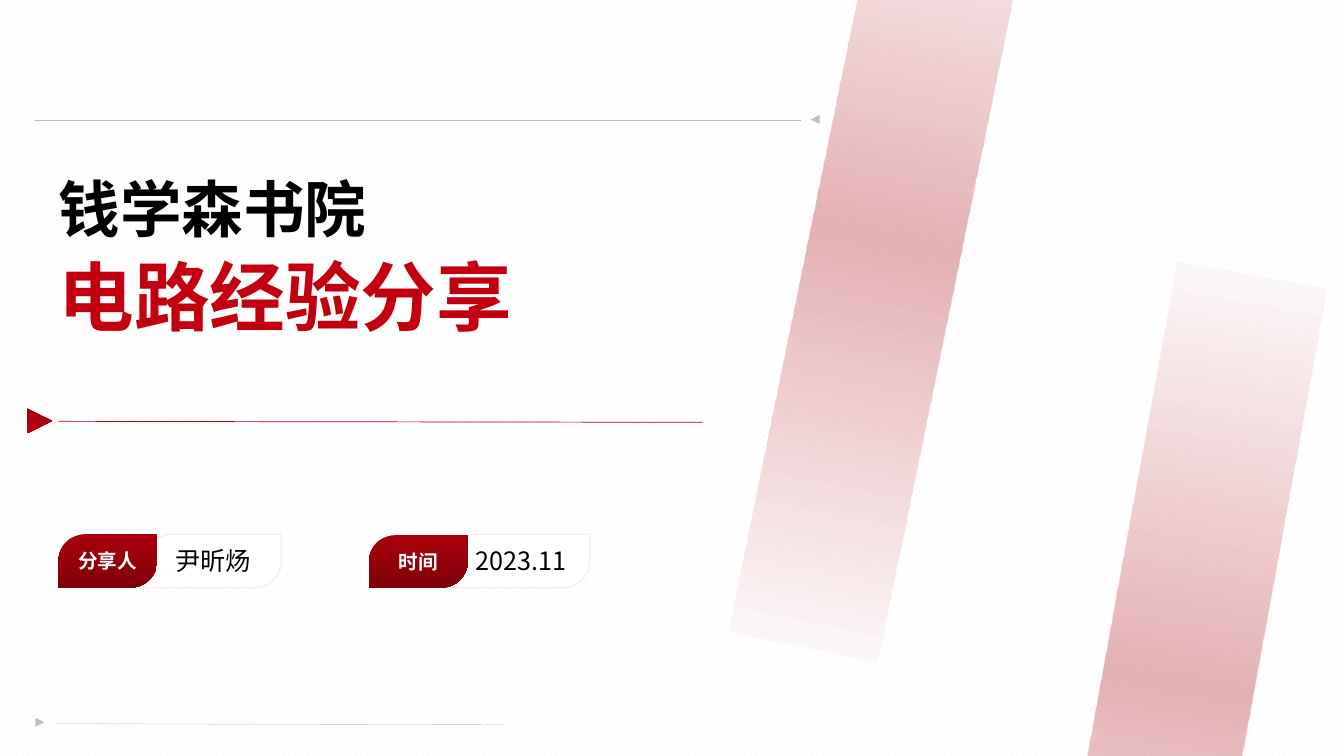
from dataclasses import dataclass

from lxml.etree import SubElement
from pptx import Presentation
from pptx.dml.color import RGBColor
from pptx.enum.dml import MSO_PATTERN
from pptx.enum.shapes import MSO_CONNECTOR, MSO_SHAPE
from pptx.enum.text import MSO_ANCHOR, MSO_AUTO_SIZE, PP_ALIGN
from pptx.oxml.ns import qn
from pptx.util import Pt

PX = 9144  # EMU, 100 px to the inch


@dataclass(frozen=True)
class Theme:
    font: str = "Noto Sans CJK SC"
    black: str = "000000"
    white: str = "FFFFFF"
    hatch: str = "F2F2F2"
    gray: str = "BFBFBF"
    bright_red: str = "C3000F"
    red: str = "A9000B"
    dark_red: str = "7F0008"
    pale_red: str = "FDEBED"
    college_size: int = 44
    topic_size: int = 54
    value_size: int = 18
    label_size: int = 14


THEME = Theme()


def rgb(color):
    return RGBColor.from_string(color)


def set_gradient(fill, owner, stops, angle=0):
    """Fill with (position %, colour, opacity %) stops; angle runs clockwise in degrees."""
    fill.gradient()
    stop_list = owner.find(".//" + qn("a:gsLst"))
    for stop in list(stop_list):
        stop_list.remove(stop)
    for position, color, opacity in stops:
        stop = SubElement(stop_list, qn("a:gs"), pos=str(position * 1000))
        color_element = SubElement(stop, qn("a:srgbClr"), val=color)
        if opacity < 100:
            SubElement(color_element, qn("a:alpha"), val=str(opacity * 1000))
    owner.find(".//" + qn("a:lin")).set("ang", str(angle * 60000))


def format_run(run, size, color, bold=False):
    run.font.size = Pt(size)
    run.font.bold = bold
    run.font.color.rgb = rgb(color)
    run.font.name = THEME.font
    SubElement(run.font._element, qn("a:ea"), typeface=THEME.font)


def add_plain_shape(slide, kind, left, top, width, height, rotation=0):
    shape = slide.shapes.add_shape(kind, left * PX, top * PX, width * PX, height * PX)
    shape.rotation = rotation
    shape.shadow.inherit = False
    shape.line.fill.background()
    return shape


def add_rule(slide, start, end, color, weight):
    points = [value * PX for value in (*start, *end)]
    rule = slide.shapes.add_connector(MSO_CONNECTOR.STRAIGHT, *points)
    rule.line.color.rgb = rgb(color)
    rule.line.width = Pt(weight)
    SubElement(rule._element.spPr, qn("a:effectLst"))


def add_band(slide, left, top, rotation):
    band = add_plain_shape(slide, MSO_SHAPE.RECTANGLE, left, top, 824, 151, rotation)
    stops = [(0, THEME.bright_red, 0), (50, THEME.red, 30), (100, THEME.bright_red, 0)]
    set_gradient(band.fill, band._element.spPr, stops)


def add_marker(slide, left, top, size, rotation):
    marker = add_plain_shape(
        slide, MSO_SHAPE.ISOSCELES_TRIANGLE, left, top, size, size, rotation)
    marker.fill.solid()
    marker.fill.fore_color.rgb = rgb(THEME.gray)
    return marker


def add_leaf(slide, left, top, width, height, text, size, color, bold=False):
    """Shape with two opposite round corners and centred text."""
    leaf = add_plain_shape(
        slide, MSO_SHAPE.ROUND_2_DIAG_RECTANGLE, left, top, width, height)
    leaf.adjustments[0], leaf.adjustments[1] = 0.5, 0
    frame = leaf.text_frame
    frame.margin_left = frame.margin_right = 0
    frame.vertical_anchor = MSO_ANCHOR.MIDDLE
    frame.text = text
    frame.paragraphs[0].alignment = PP_ALIGN.CENTER
    format_run(frame.paragraphs[0].runs[0], size, color, bold)
    return leaf


def add_detail(slide, left, top, value_offset, value_width, label, value):
    """Red label badge overlapping a white box with its value."""
    box = add_leaf(slide, left + value_offset, 530, value_width, 53,
                   value, THEME.value_size, THEME.black)
    box.fill.solid()
    box.fill.fore_color.rgb = rgb(THEME.white)
    box.line.color.rgb = rgb(THEME.pale_red)
    box.line.width = Pt(1)
    badge = add_leaf(slide, left, top, 98, 583 - top,
                     label, THEME.label_size, THEME.white, bold=True)
    set_gradient(badge.fill, badge._element.spPr,
                 [(0, THEME.red, 100), (100, THEME.dark_red, 100)], 90)


def fill_title(slide, college, topic):
    title = slide.shapes.title
    title.left, title.top, title.width, title.height = (
        value * PX for value in (58, 160, 747, 197))
    frame = title.text_frame
    frame.text = f"{college}\n{topic}"
    frame.word_wrap = True
    frame.auto_size = MSO_AUTO_SIZE.NONE
    frame.vertical_anchor = MSO_ANCHOR.MIDDLE
    frame.margin_left = frame.margin_right = frame.margin_top = frame.margin_bottom = 0
    styles = [(THEME.college_size, THEME.black), (THEME.topic_size, THEME.bright_red)]
    for paragraph, (size, color) in zip(frame.paragraphs, styles):
        paragraph.alignment = PP_ALIGN.LEFT
        paragraph.line_spacing = 0.9
        paragraph.space_before = Pt(10)
        format_run(paragraph.runs[0], size, color, bold=True)
    topic_run = frame.paragraphs[1].runs[0]
    set_gradient(topic_run.font.fill, topic_run.font._element,
                 [(0, THEME.bright_red, 100), (100, THEME.red, 100)])


def set_hatched_background(slide):
    fill = slide.background.fill
    fill.patterned()
    fill.pattern = MSO_PATTERN.WIDE_UPWARD_DIAGONAL
    fill.fore_color.rgb = rgb(THEME.hatch)
    fill.back_color.rgb = rgb(THEME.white)


def main():
    presentation = Presentation()
    presentation.slide_width, presentation.slide_height = 1333 * PX, 750 * PX
    slide = presentation.slides.add_slide(presentation.slide_layouts.get_by_name("Title Only"))
    set_hatched_background(slide)
    fill_title(slide, "钱学森书院", "电路经验分享")

    add_detail(slide, 58, 530, 86, 135, "分享人", "尹昕炀")
    add_detail(slide, 366, 531, 82, 137, "时间", "2023.11")

    add_band(slide, 756, 603, 100.3)
    add_band(slide, 467, 162, 101.5)

    add_rule(slide, (58, 418), (697, 419), THEME.red, 0.5)
    add_rule(slide, (56, 718), (500, 719), THEME.gray, 0.25)
    add_rule(slide, (35, 119), (794, 119), THEME.gray, 0.25)

    red_marker = add_marker(slide, 27, 405, 25, 90)
    set_gradient(red_marker.fill, red_marker._element.spPr,
                 [(30, THEME.red, 100), (100, THEME.bright_red, 100)])
    add_marker(slide, 35, 712, 9, 90)
    add_marker(slide, 804, 114, 9, 270)

    presentation.save("out.pptx")


if __name__ == "__main__":
    main()
